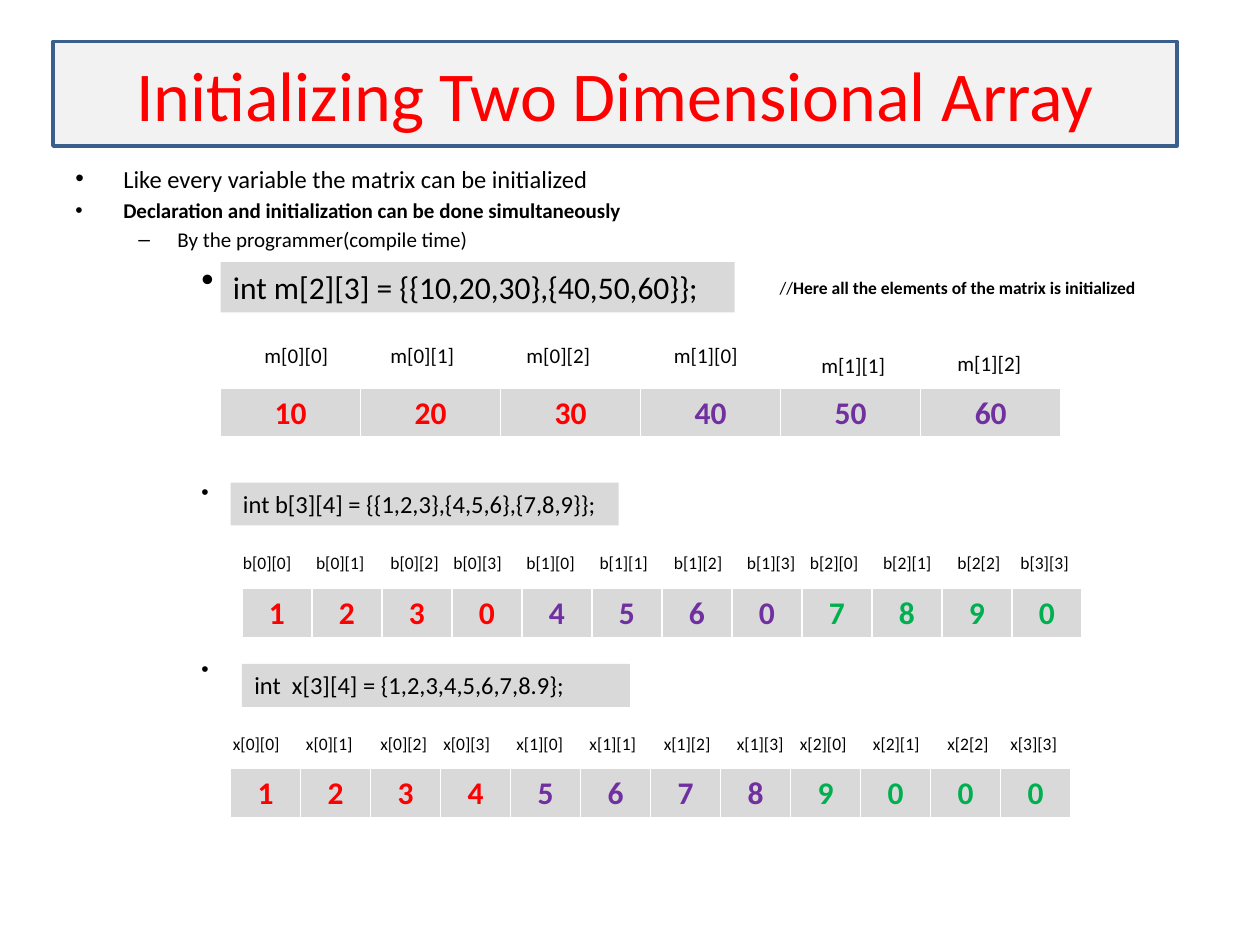
from dataclasses import dataclass

from lxml import etree
from pptx import Presentation
from pptx import util as u
from pptx.dml.color import RGBColor
from pptx.enum import shapes, text
from pptx.oxml import ns


@dataclass(frozen=True)
class Theme:
    font: str = "Calibri"
    bullet_font: str = "Arial"
    black: str = "000000"
    white: str = "FFFFFF"
    red: str = "FF0000"
    purple: str = "7030A0"
    green: str = "00B050"
    panel: str = "D9D9D9"
    title_fill: str = "F2F2F2"
    title_line: str = "3A5F8C"
    title_size: int = 40
    large: int = 18
    medium: int = 14
    body: int = 12
    small: int = 10
    code_bullet: int = 20


THEME = Theme()
TABLE_WIDTH = 6.67
LABEL_OFFSETS = (0, 0.58, 1.17, 1.67, 2.25, 2.83, 3.42, 4, 4.5, 5.08, 5.67, 6.17)
LABEL_INDICES = (
    "[0][0]", "[0][1]", "[0][2]", "[0][3]", "[1][0]", "[1][1]",
    "[1][2]", "[1][3]", "[2][0]", "[2][1]", "[2[2]", "[3][3]",
)


def inches(*lengths):
    return [u.Inches(length) for length in lengths]


def add_run(paragraph, content, *, size, color=THEME.black, bold=False, align=None):
    run = paragraph.add_run()
    run.text = content
    run.font.name = THEME.font
    run.font.size = u.Pt(size)
    run.font.bold = bold
    run.font.color.rgb = RGBColor.from_string(color)
    if align is not None:
        paragraph.alignment = align


def add_label(slide, position, content, **style):
    shape = slide.shapes.add_textbox(*inches(*position))
    shape.text_frame.word_wrap = True
    paragraph = shape.text_frame.paragraphs[0]
    add_run(paragraph, content, **style)
    return paragraph


def add_panel(slide, position, content, *, fill, line=None,
              anchor=text.MSO_ANCHOR.TOP, align=text.PP_ALIGN.LEFT, **style):
    shape = slide.shapes.add_shape(shapes.MSO_SHAPE.RECTANGLE, *inches(*position))
    shape.shadow.inherit = False
    shape.fill.solid()
    shape.fill.fore_color.rgb = RGBColor.from_string(fill)
    if line:
        shape.line.color.rgb = RGBColor.from_string(line)
        shape.line.width = u.Pt(2)
    else:
        shape.line.fill.background()
    frame = shape.text_frame
    frame.word_wrap = True
    frame.vertical_anchor = anchor
    add_run(frame.paragraphs[0], content, align=align, **style)


def set_bullet(paragraph, character, margin, hanging):
    properties = paragraph._p.get_or_add_pPr()
    properties.set("marL", str(u.Inches(margin)))
    properties.set("indent", str(-u.Inches(hanging)))
    font = etree.SubElement(properties, ns.qn("a:buFont"))
    font.set("typeface", THEME.bullet_font)
    bullet = etree.SubElement(properties, ns.qn("a:buChar"))
    bullet.set("char", character)


def add_outline(slide):
    shape = slide.shapes.add_textbox(*inches(0.5, 1.25, 9.25, 6.08))
    frame = shape.text_frame
    frame.word_wrap = True
    top = ("•", 0.38, 0.38)
    nested = ("–", 0.81, 0.31)
    code = ("•", 1.25, 0.25)
    items = (
        ("Like every variable the matrix can be initialized", top, THEME.medium, False, 0),
        ("Declaration and initialization can be done simultaneously", top, THEME.body, True, 2.4),
        ("By the programmer(compile time)", nested, THEME.body, False, 2.4),
        ("\t", code, THEME.code_bullet, False, 4),
        ("\t", code, THEME.body, False, 102),
        ("\t", code, THEME.body, False, 87),
    )
    for index, (content, bullet, size, bold, before) in enumerate(items):
        paragraph = frame.add_paragraph() if index else frame.paragraphs[0]
        set_bullet(paragraph, *bullet)
        paragraph.space_before = u.Pt(before)
        add_run(paragraph, content, size=size, bold=bold)


def set_borders(cell):
    properties = cell._tc.get_or_add_tcPr()
    sides = (("a:lnL", 1), ("a:lnR", 1), ("a:lnT", 1), ("a:lnB", 3))
    for index, (side, width) in enumerate(sides):
        line = etree.Element(ns.qn(side), w=str(u.Pt(width)))
        fill = etree.SubElement(line, ns.qn("a:solidFill"))
        etree.SubElement(fill, ns.qn("a:srgbClr"), val=THEME.white)
        properties.insert(index, line)


def add_array(slide, left, top, rows):
    values = [(value, color) for row, color in rows for value in row]
    frame = slide.shapes.add_table(1, len(values), *inches(left, top, TABLE_WIDTH, 0.4))
    table = frame.table
    table.first_row = False
    table.horz_banding = False
    for column, (value, color) in enumerate(values):
        table.columns[column].width = u.Inches(TABLE_WIDTH / len(values))
        cell = table.cell(0, column)
        cell.fill.solid()
        cell.fill.fore_color.rgb = RGBColor.from_string(THEME.panel)
        set_borders(cell)
        add_run(cell.text_frame.paragraphs[0], str(value), size=THEME.large,
                color=color, bold=True, align=text.PP_ALIGN.CENTER)


def add_index_labels(slide, name, left, top):
    for offset, index in zip(LABEL_OFFSETS, LABEL_INDICES):
        add_label(slide, (left + offset, top, 0.75, 0.57), name + index, size=THEME.small)


def main():
    presentation = Presentation()
    presentation.slide_width = u.Inches(10)
    presentation.slide_height = u.Inches(7.5)
    slide = presentation.slides.add_slide(presentation.slide_layouts[6])

    add_outline(slide)
    add_panel(slide, (0.42, 0.33, 8.92, 0.83), "Initializing Two Dimensional Array",
              fill=THEME.title_fill, line=THEME.title_line, size=THEME.title_size,
              color=THEME.red, anchor=text.MSO_ANCHOR.MIDDLE, align=text.PP_ALIGN.CENTER)
    comment = add_label(slide, (6.09, 2.15, 3.3, 0.27), "//", size=THEME.small)
    add_run(comment, "Here all the elements of the matrix is initialized",
            size=THEME.small, bold=True)

    declarations = (
        ((1.75, 2.08, 4.08, 0.4), "int m[2][3] = {{10,20,30},{40,50,60}};", THEME.large),
        ((1.83, 3.83, 3.08, 0.34), "int b[3][4] = {{1,2,3},{4,5,6},{7,8,9}};", THEME.medium),
        ((1.92, 5.27, 3.08, 0.34), "int  x[3][4] = {1,2,3,4,5,6,7,8.9};", THEME.medium),
    )
    for position, code, size in declarations:
        add_panel(slide, position, code, fill=THEME.panel, size=size)

    colors = (THEME.red, THEME.purple, THEME.green)
    arrays = (
        (1.75, 3.08, ((10, 20, 30), (40, 50, 60))),
        (1.92, 4.67, ((1, 2, 3, 0), (4, 5, 6, 0), (7, 8, 9, 0))),
        (1.83, 6.1, ((1, 2, 3, 4), (5, 6, 7, 8), (9, 0, 0, 0))),
    )
    for left, top, rows in arrays:
        add_array(slide, left, top, tuple(zip(rows, colors)))

    matrix_labels = (
        ("m[0][0]", 2, 2.67), ("m[0][1]", 3, 2.67), ("m[0][2]", 4.08, 2.67),
        ("m[1][0]", 5.25, 2.67), ("m[1][1]", 6.42, 2.75), ("m[1][2]", 7.5, 2.73),
    )
    for content, left, top in matrix_labels:
        add_label(slide, (left, top, 0.75, 0.61), content, size=THEME.body)
    add_index_labels(slide, "b", 1.83, 4.33)
    add_index_labels(slide, "x", 1.75, 5.77)

    presentation.save("out.pptx")


if __name__ == "__main__":
    main()
